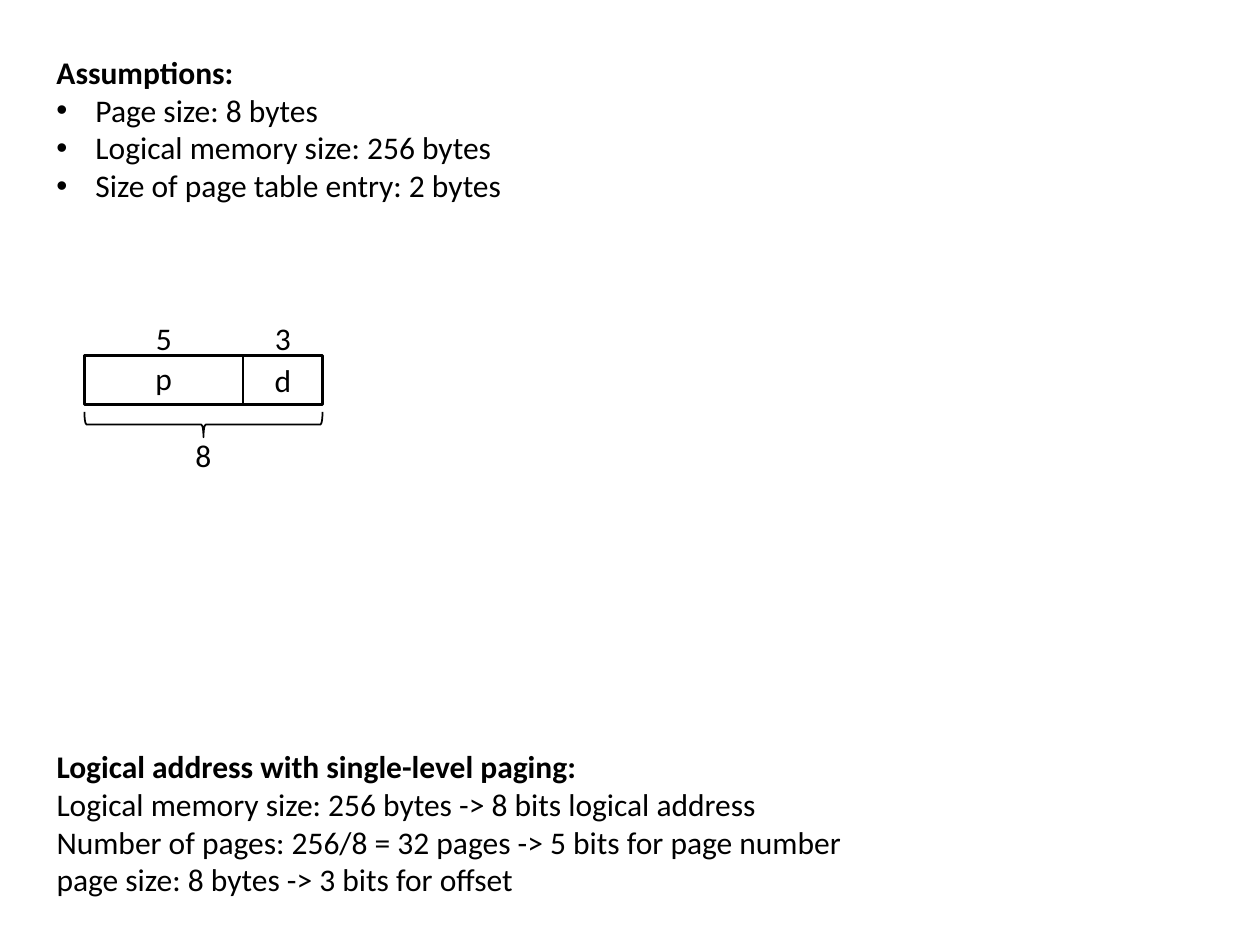
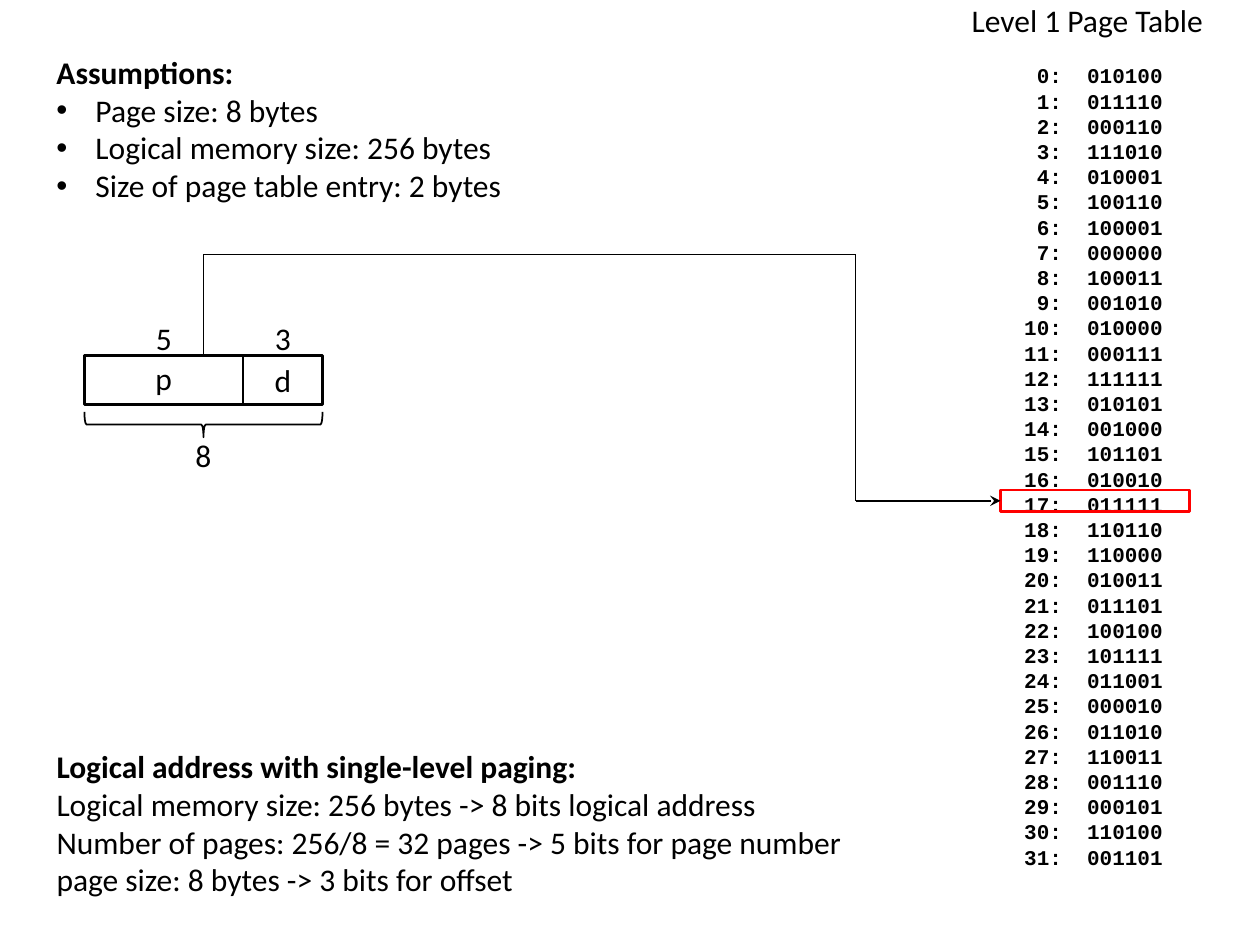
from lxml import etree
from pptx import Presentation
from pptx import util as u
from pptx.dml.color import RGBColor
from pptx.enum import shapes, text
from pptx.oxml.ns import qn

BLACK = RGBColor(0, 0, 0)
RED = RGBColor(255, 0, 0)
BODY_FONT, CODE_FONT = "Calibri", "Courier New"

ASSUMPTIONS = ["Assumptions:", "Page size: 8 bytes", "Logical memory size: 256 bytes",
               "Size of page table entry: 2 bytes"]
PAGING = ["Logical address with single-level paging:",
          "Logical memory size: 256 bytes -> 8 bits logical address",
          "Number of pages: 256/8 = 32 pages -> 5 bits for page number",
          "page size: 8 bytes -> 3 bits for offset"]
FRAMES = """010100 011110 000110 111010 010001 100110 100001 000000
100011 001010 010000 000111 111111 010101 001000 101101
010010 011111 110110 110000 010011 011101 100100 101111
011001 000010 011010 110011 001110 000101 110100 001101""".split()

ADDRESS = (0.67, 2.82, 1.89, 0.39)
TABLE = (8.03, 0.45, 1.32, 6.56)
SELECTED_PAGE = 17
ROW_HEIGHT = 0.2


def add_text(slide, box, lines, wrap=False, size=18, font=BODY_FONT, bold=False):
    """Add a text box with one paragraph per line and return its paragraphs."""
    sp = slide.shapes.add_textbox(*map(u.Inches, box))
    tf = sp.text_frame
    tf.text = "\n".join(lines)
    tf.word_wrap = wrap
    tf.auto_size = text.MSO_AUTO_SIZE.SHAPE_TO_FIT_TEXT
    for p in tf.paragraphs:
        p.font.name, p.font.size, p.font.bold = font, u.Pt(size), bold
        p.font.color.rgb = BLACK
    return tf.paragraphs


def add_label(slide, center, top, label):
    """Add a short label centred on a horizontal position."""
    width = 0.34
    p, = add_text(slide, (center - width / 2, top, width, 0.4), [label])
    p.alignment = text.PP_ALIGN.CENTER


def add_outline(slide, kind, box, color=BLACK, weight=1.5):
    """Add an unfilled preset shape and return it."""
    sp = slide.shapes.add_shape(kind, *map(u.Inches, box))
    sp.shadow.inherit = False
    sp.fill.background()
    sp.line.color.rgb, sp.line.width = color, u.Pt(weight)
    return sp


def add_line(slide, start, end, weight=1, arrow=False):
    """Add a straight black line, with a stealth arrowhead at its end if asked."""
    line = slide.shapes.add_connector(shapes.MSO_CONNECTOR.STRAIGHT,
                                      *map(u.Inches, (*start, *end)))
    line.line.color.rgb, line.line.width = BLACK, u.Pt(weight)
    if arrow:
        etree.SubElement(line.line._get_or_add_ln(), qn("a:tailEnd"), type="stealth")
    etree.SubElement(line._element.spPr, qn("a:effectLst"))


def add_notes_blocks(slide, left=0.35):
    """Add the bulleted assumptions and the derivation of the address bits."""
    heading, *items = add_text(slide, (left, 0.37, 3.77, 1.31), ASSUMPTIONS)
    heading.font.bold = True
    for p in items:
        pPr = p._p.get_or_add_pPr()
        pPr.set("marL", str(u.Inches(0.31)))
        pPr.set("indent", str(-u.Inches(0.31)))
        bullet_font = etree.Element(qn("a:buFont"), typeface="Arial")
        bullet = etree.Element(qn("a:buChar"), char="•")
        pPr.insert(0, bullet_font)
        bullet_font.addnext(bullet)
    heading, *_ = add_text(slide, (left, 5.88, 6.61, 1.31), PAGING, wrap=True)
    heading.font.bold = True


def add_address(slide, box):
    """Draw the logical address with its page and offset fields and bit counts."""
    left, top, width, height = box
    split = left + width * 2 / 3
    page, offset = (left + split) / 2, (split + left + width) / 2
    middle = left + width / 2
    add_outline(slide, shapes.MSO_SHAPE.RECTANGLE, box)
    add_line(slide, (split, top), (split, top + height), 1.5)
    for center, name, name_top, bits in ((page, "p", top - 0.02, "5"), (offset, "d", top, "3")):
        add_label(slide, center, name_top, name)
        add_label(slide, center, top - 0.34, bits)
    depth = 0.2
    brace_middle = top + height + 0.16
    brace = add_outline(slide, shapes.MSO_SHAPE.RIGHT_BRACE,
                        (middle - depth / 2, brace_middle - width / 2, depth, width), weight=1)
    brace.rotation = 90
    add_label(slide, middle, top + height + 0.2, "8")


def add_page_table(slide, box):
    """List the page table, mark the selected row and return the row's left middle."""
    left, top, width, _ = box
    rows = [f"{page:>2}:  {frame}" for page, frame in enumerate(FRAMES)]
    add_text(slide, box, rows, size=12, font=CODE_FONT, bold=True)
    p, = add_text(slide, (left - 0.48, top - 0.46, 2.16, 0.37), ["Level 1 Page Table"], wrap=True)
    p.alignment, p.line_spacing = text.PP_ALIGN.CENTER, 0.9
    row = left - 0.09, top + 0.04 + SELECTED_PAGE * ROW_HEIGHT, width + 0.18, 0.17
    add_outline(slide, shapes.MSO_SHAPE.RECTANGLE, row, RED)
    return row[0], row[1] + row[3] / 2


def add_lookup(slide, address, target):
    """Route an arrow from the top of the address to the selected table row."""
    left, top, width, _ = address
    start = left + width / 2
    rise, turn = top - 0.8, target[0] - 1.15
    points = [(start, top), (start, rise), (turn, rise), (turn, target[1]), target]
    for a, b in zip(points, points[1:]):
        add_line(slide, a, b, arrow=b == target)


def add_slide(prs, with_table):
    """Add an addressing slide, with the page table lookup if asked."""
    s = prs.slides.add_slide(prs.slide_layouts[6])
    add_notes_blocks(s)
    add_address(s, ADDRESS)
    if with_table:
        add_lookup(s, ADDRESS, add_page_table(s, TABLE))


def main():
    """Build and save the presentation."""
    prs = Presentation()
    prs.slide_width, prs.slide_height = u.Inches(10), u.Inches(7.5)
    for with_table in (False, True):
        add_slide(prs, with_table)
    prs.save("out.pptx")


if __name__ == "__main__":
    main()
